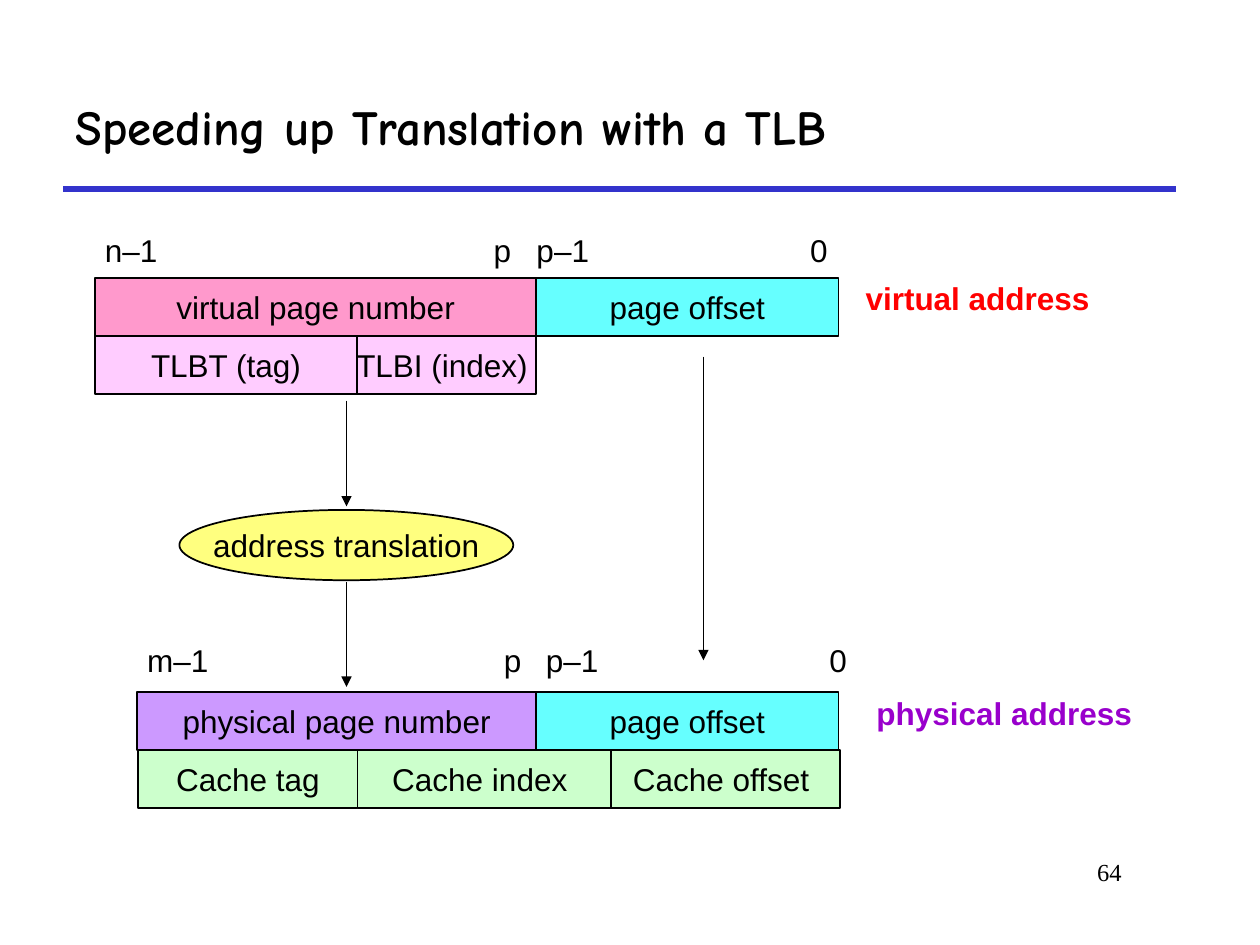
from dataclasses import dataclass

from lxml.etree import SubElement
from pptx import Presentation
from pptx.dml.color import RGBColor as RGB
from pptx.enum.shapes import MSO_CONNECTOR as Connector, MSO_SHAPE as Preset
from pptx.enum.text import MSO_ANCHOR as Anchor, MSO_AUTO_SIZE as AutoSize, PP_ALIGN as Align
from pptx.oxml.ns import qn
from pptx.util import Pt


@dataclass(frozen=True)
class Theme:
    ink: str = "000000"
    rule: str = "3333CC"
    virtual_page: str = "FF99CC"
    tlb: str = "FFCCFF"
    physical_page: str = "CC99FF"
    offset: str = "66FFFF"
    cache: str = "CCFFCC"
    translation: str = "FFFF00"
    virtual_name: str = "FF0000"
    physical_name: str = "9900CC"
    title_font: str = "Comic Neue"
    body_font: str = "Arial"
    number_font: str = "Times New Roman"
    title_size: float = 28
    body_size: float = 18
    number_size: float = 14


@dataclass(frozen=True)
class Field:
    text: str
    width: float
    fill: str


@dataclass(frozen=True)
class AddressRow:
    left: float
    top: float
    fields: tuple[Field, ...]


@dataclass(frozen=True)
class Label:
    text: str
    left: float
    top: float
    width: float
    color: str = Theme.ink
    bold: bool = False


@dataclass(frozen=True)
class Arrow:
    x: float
    top: float
    bottom: float


THEME = Theme()
ROW_HEIGHT = 33.25
LABEL_HEIGHT = 28.8
VIRTUAL_TOP, PHYSICAL_TOP = 158.7, 395.4
VIRTUAL_BITS_TOP, PHYSICAL_BITS_TOP = 128.2, 362.9
PAGE_OFFSET = Field("page offset", 172.8, THEME.offset)

ROWS = (
    AddressRow(54.4, VIRTUAL_TOP, (
        Field("virtual page number", 252, THEME.virtual_page), PAGE_OFFSET)),
    AddressRow(78.3, PHYSICAL_TOP, (
        Field("physical page number", 228.1, THEME.physical_page), PAGE_OFFSET)),
    AddressRow(54.4, VIRTUAL_TOP + ROW_HEIGHT, (
        Field("TLBT (tag)", 149.5, THEME.tlb),
        Field("TLBI (index) ", 102.5, THEME.tlb))),
    AddressRow(79, PHYSICAL_TOP + ROW_HEIGHT, (
        Field("Cache tag", 125.3, THEME.cache),
        Field("Cache index ", 144.7, THEME.cache),
        Field("Cache offset ", 131, THEME.cache))),
)

LABELS = (
    Label("n–1", 52.8, VIRTUAL_BITS_TOP, 45),
    Label("p", 275, VIRTUAL_BITS_TOP, 25),
    Label("p–1", 299.5, VIRTUAL_BITS_TOP, 45),
    Label("0", 455.8, VIRTUAL_BITS_TOP, 25),
    Label("m–1", 77, PHYSICAL_BITS_TOP, 51),
    Label("p", 280.8, PHYSICAL_BITS_TOP, 25),
    Label("p–1", 304.8, PHYSICAL_BITS_TOP, 45),
    Label("0", 466.8, PHYSICAL_BITS_TOP, 25),
    Label("virtual address", 487.5, 155.8, 143, THEME.virtual_name, True),
    Label("physical address", 493.8, 393.1, 161, THEME.physical_name, True),
)

ARROWS = (
    Arrow(402, 203.8, 377.3),
    Arrow(198, 229, 289.4),
    Arrow(198, 332.6, 392.5),
)


def add_text(frame, text: str, align=Align.LEFT, color: str = THEME.ink,
             font: str = THEME.body_font, size: float = THEME.body_size,
             bold: bool = False) -> None:
    paragraph = frame.paragraphs[0]
    paragraph.alignment = align
    run = paragraph.add_run()
    run.text = text
    run.font.name = font
    run.font.size = Pt(size)
    run.font.bold = bold
    run.font.color.rgb = RGB.from_string(color)


def add_block(slide, preset, left: float, top: float, width: float,
              height: float, text: str, fill: str):
    block = slide.shapes.add_shape(preset, Pt(left), Pt(top), Pt(width), Pt(height))
    block.shadow.inherit = False
    block.fill.solid()
    block.fill.fore_color.rgb = RGB.from_string(fill)
    block.line.color.rgb = RGB.from_string(THEME.ink)
    block.line.width = Pt(1)
    block.text_frame.word_wrap = False
    block.text_frame.vertical_anchor = Anchor.MIDDLE
    add_text(block.text_frame, text, Align.CENTER)
    return block


def add_row(slide, row: AddressRow) -> None:
    left = row.left
    for field in row.fields:
        add_block(slide, Preset.RECTANGLE, left, row.top, field.width,
                  ROW_HEIGHT, field.text, field.fill)
        left += field.width


def add_label(slide, label: Label) -> None:
    box = slide.shapes.add_textbox(Pt(label.left), Pt(label.top),
                                   Pt(label.width), Pt(LABEL_HEIGHT))
    box.text_frame.word_wrap = False
    box.text_frame.auto_size = AutoSize.SHAPE_TO_FIT_TEXT
    add_text(box.text_frame, label.text, color=label.color, bold=label.bold)


def add_line(slide, x1: float, y1: float, x2: float, y2: float,
             color: str, width: float):
    line = slide.shapes.add_connector(Connector.STRAIGHT, Pt(x1), Pt(y1), Pt(x2), Pt(y2))
    line.line.color.rgb = RGB.from_string(color)
    line.line.width = Pt(width)
    SubElement(line._element.spPr, qn("a:effectLst"))
    return line


def add_arrow(slide, arrow: Arrow) -> None:
    line = add_line(slide, arrow.x, arrow.top, arrow.x, arrow.bottom, THEME.ink, 1)
    SubElement(line.line._get_or_add_ln(), qn("a:tailEnd"), type="triangle")


def main() -> None:
    deck = Presentation()
    deck.slide_width, deck.slide_height = Pt(720), Pt(540)
    slide = deck.slides.add_slide(deck.slide_layouts[5])

    # Title and the rule under it
    title = slide.shapes.title
    title.left, title.top, title.width, title.height = Pt(36), Pt(36), Pt(636), Pt(72)
    title.text_frame.vertical_anchor = Anchor.MIDDLE
    title.text_frame.auto_size = AutoSize.NONE
    add_text(title.text_frame, "Speeding up Translation with a TLB",
             font=THEME.title_font, size=THEME.title_size, bold=True)
    add_line(slide, 36, 108, 672, 108, THEME.rule, 3)

    # Virtual and physical addresses with their TLB and cache fields
    for row in ROWS:
        add_row(slide, row)

    # Translation step, half transparent
    translation = add_block(slide, Preset.OVAL, 102.5, 291.4, 190.8, 40.2,
                            "address translation", THEME.translation)
    tint = translation._element.spPr.find(qn("a:solidFill")).find(qn("a:srgbClr"))
    SubElement(tint, qn("a:alpha"), val="50000")

    # Bit positions, address names and flow
    for label in LABELS:
        add_label(slide, label)
    for arrow in ARROWS:
        add_arrow(slide, arrow)

    # Slide number
    number = slide.shapes.add_textbox(Pt(545.8), Pt(486), Pt(102.2), Pt(36))
    number.text_frame.word_wrap = True
    add_text(number.text_frame, "64", Align.RIGHT,
             font=THEME.number_font, size=THEME.number_size)

    deck.save("out.pptx")


if __name__ == "__main__":
    main()
